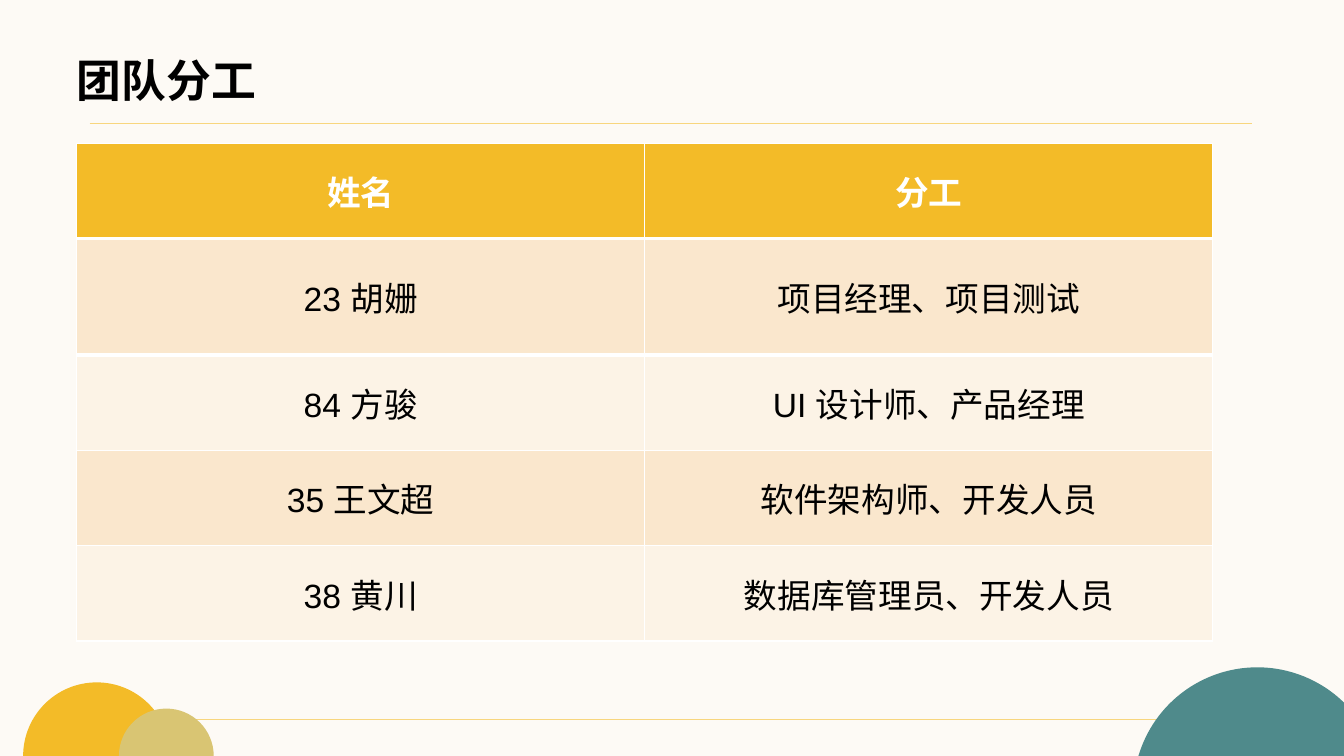
"""Build the team roles slide: a title, a two-column table and corner circles."""
import math

from lxml import etree
from pptx import Presentation
from pptx import util as u
from pptx.dml.color import RGBColor
from pptx.enum import shapes, text
from pptx.oxml.ns import qn

COLORS = {
    "background": "FDFAF5", "rule": "F8D67E", "yellow": "F3BB28",
    "sand": "D9C573", "teal": "4F8A8B", "band": "FAE7CD",
    "light": "FCF3E6", "white": "FFFFFF", "black": "000000",
}
WIDTH, HEIGHT = 13.33, 7.5
LEFT = 0.76


def paint(fill, name):
    """Fill with a solid named colour."""
    fill.solid()
    fill.fore_color.rgb = RGBColor.from_string(COLORS[name])


def style_text(paragraph, size, color, bold):
    """Format every run of a paragraph."""
    for run in paragraph.runs:
        run.font.name = "Arial"
        run.font.size = u.Pt(size)
        run.font.bold = bold
        run.font.color.rgb = RGBColor.from_string(COLORS[color])


presentation = Presentation()
presentation.slide_width = u.Inches(WIDTH)
presentation.slide_height = u.Inches(HEIGHT)
slide = presentation.slides.add_slide(presentation.slide_layouts[5])
paint(slide.background.fill, "background")

for start, end, y in [(0.89, 12.42, 1.22), (1.69, 11.55, 7.14)]:
    rule = slide.shapes.add_connector(
        shapes.MSO_CONNECTOR.STRAIGHT,
        u.Inches(start), u.Inches(y), u.Inches(end), u.Inches(y))
    rule.line.color.rgb = RGBColor.from_string(COLORS["rule"])
    rule.line.width = u.Pt(0.5)
    etree.SubElement(rule._element.spPr, qn("a:effectLst"))

circles = [(0.96, 6.77, 0.73, "yellow"), (1.65, 7.03, 0.47, "sand"),
           (12.47, 6.62, 1.23, "teal")]
for center, top, radius, color in circles:
    middle = top + radius
    first = math.asin((middle - HEIGHT) / radius)
    last = math.acos(-min(1, (WIDTH - center) / radius))
    outline = [(center - radius * math.cos(first), HEIGHT)]
    for begin, finish in [(first, math.pi / 2), (math.pi / 2, last)]:
        pull = 4 / 3 * math.tan((finish - begin) / 4)
        for angle, bend in [(begin, pull), (finish, -pull), (finish, 0)]:
            outline.append((
                center + radius * (bend * math.sin(angle) - math.cos(angle)),
                middle - radius * (bend * math.cos(angle) + math.sin(angle))))
    if last < math.pi:
        outline.append((WIDTH, HEIGHT))
    points = [(u.Inches(x), u.Inches(y)) for x, y in outline]
    builder = slide.shapes.build_freeform(*points[0])
    builder.add_line_segments(points[1:], close=True)
    circle = builder.convert_to_shape()
    segments = list(circle._element.iter(qn("a:lnTo")))
    for index in (0, 3):
        curve = etree.Element(qn("a:cubicBezTo"))
        segments[index].addprevious(curve)
        for segment in segments[index:index + 3]:
            curve.append(segment[0])
            segment.getparent().remove(segment)
    circle.shadow.inherit = False
    paint(circle.fill, color)
    circle.line.fill.background()

title = slide.shapes.title
title.left, title.top = u.Inches(LEFT), u.Inches(0.39)
title.width, title.height = u.Inches(11.81), u.Inches(0.79)
frame = title.text_frame
frame.text = "团队分工"
frame.margin_left = frame.margin_right = frame.margin_top = frame.margin_bottom = 0
frame.vertical_anchor = text.MSO_ANCHOR.MIDDLE
frame.paragraphs[0].alignment = text.PP_ALIGN.LEFT
style_text(frame.paragraphs[0], 32, "black", True)

roles = [
    ("姓名", "分工"),
    ("23 胡姗", "项目经理、项目测试"),
    ("84 方骏", "UI 设计师、产品经理"),
    ("35 王文超", "软件架构师、开发人员"),
    ("38 黄川", "数据库管理员、开发人员"),
]
table_height, tall_row = 4.94, 1.16
short_row = (table_height - tall_row) / (len(roles) - 1)
table = slide.shapes.add_table(
    len(roles), 2, u.Inches(LEFT), u.Inches(1.42),
    u.Inches(11.27), u.Inches(table_height)).table
for row, entries in enumerate(roles):
    table.rows[row].height = u.Inches(tall_row if row == 1 else short_row)
    header = row == 0
    fill = "yellow" if header else "band" if row % 2 else "light"
    for column, entry in enumerate(entries):
        cell = table.cell(row, column)
        cell.text_frame.text = entry
        cell.vertical_anchor = text.MSO_ANCHOR.MIDDLE
        paint(cell.fill, fill)
        paragraph = cell.text_frame.paragraphs[0]
        paragraph.alignment = text.PP_ALIGN.CENTER
        style_text(paragraph, 24, "white" if header else "black", header)
        if row < 2:
            border = etree.Element(qn("a:lnB" if header else "a:lnT"), w=str(u.Pt(3)))
            line_fill = etree.SubElement(border, qn("a:solidFill"))
            etree.SubElement(line_fill, qn("a:srgbClr"), val=COLORS["white"])
            cell._tc.get_or_add_tcPr().insert(0, border)

presentation.save("out.pptx")
